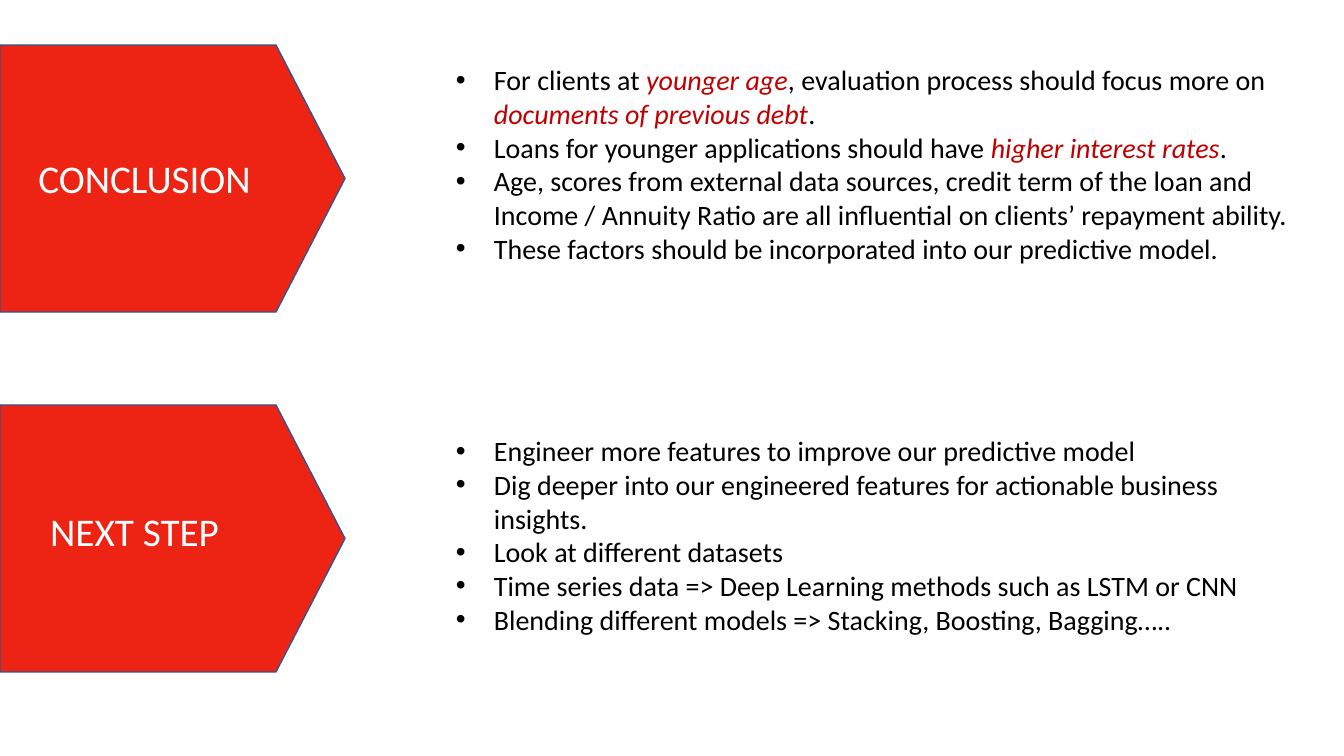
from pptx import Presentation
from pptx.dml.color import RGBColor
from pptx.enum.shapes import MSO_SHAPE
from pptx.enum.text import MSO_AUTO_SIZE, PP_ALIGN
from pptx.oxml import parse_xml
from pptx.oxml.ns import nsdecls
from pptx.util import Emu, Pt

SLIDE_WIDTH, SLIDE_HEIGHT = 1344, 756
EMU_PER_PX = 914400 / 100.8
BULLET_INDENT = 38
ARROW_WIDTH, SECTION_HEIGHT = 345, 267
BULLETS_LEFT = 446
LABEL_WIDTH, LABEL_HEIGHT = 251, 57

RED, NAVY, WHITE, BLACK, DARK_RED = "ED2313", "325491", "FFFFFF", "000000", "C00000"

SECTIONS = [
    {
        "top": 45,
        "label": "CONCLUSION",
        "label_offset": (19, 104),
        "bullets_offset": 13,
        "bullets_size": (865, 248),
        "bullets": [
            ["For clients at ", "younger age", ", evaluation process should focus more on ",
             "documents of previous debt", "."],
            ["Loans for younger applications should have ", "higher interest rates", "."],
            ["Age, scores from external data sources, credit term of the loan and "
             "Income / Annuity Ratio are all influential on clients’ repayment ability."],
            ["These factors should be incorporated into our predictive model."],
        ],
    },
    {
        "top": 405,
        "label": "NEXT STEP",
        "label_offset": (9, 97),
        "bullets_offset": 24,
        "bullets_size": (853, 214),
        "bullets": [
            ["Engineer more features to improve our predictive model"],
            ["Dig deeper into our engineered features for actionable business insights."],
            ["Look at different datasets"],
            ["Time series data => Deep Learning methods such as LSTM or CNN"],
            ["Blending different models => Stacking, Boosting, Bagging….."],
        ],
    },
]


def px(length):
    return Emu(round(length * EMU_PER_PX))


def color(value):
    return RGBColor.from_string(value)


def add_text(paragraph, text, size=20, fill=BLACK, italic=False):
    run = paragraph.add_run()
    run.text = text
    run.font.name = "Calibri"
    run.font.size = Pt(size)
    run.font.italic = italic
    run.font.color.rgb = color(fill)


def add_text_frame(slide, left, top, width, height):
    shape = slide.shapes.add_textbox(px(left), px(top), px(width), px(height))
    text_frame = shape.text_frame
    text_frame.word_wrap = True
    text_frame.auto_size = MSO_AUTO_SIZE.SHAPE_TO_FIT_TEXT
    return text_frame


def set_bullet(paragraph):
    properties = paragraph._p.get_or_add_pPr()
    properties.set("marL", str(px(BULLET_INDENT)))
    properties.set("indent", str(-px(BULLET_INDENT)))
    properties.append(parse_xml(f'<a:buFont {nsdecls("a")} typeface="Arial"/>'))
    properties.append(parse_xml(f'<a:buChar {nsdecls("a")} char="•"/>'))


def add_arrow(slide, left, top, width, height):
    shift = (width - height) / 2
    shape = slide.shapes.add_shape(
        MSO_SHAPE.FLOWCHART_OFFPAGE_CONNECTOR,
        px(left + shift), px(top - shift), px(height), px(width))
    shape.rotation = 270
    shape.shadow.inherit = False
    shape.fill.solid()
    shape.fill.fore_color.rgb = color(RED)
    shape.line.color.rgb = color(NAVY)
    shape.line.width = Pt(1)


def add_label(slide, left, top, text):
    paragraph = add_text_frame(slide, left, top, LABEL_WIDTH, LABEL_HEIGHT).paragraphs[0]
    paragraph.alignment = PP_ALIGN.CENTER
    add_text(paragraph, text, size=28, fill=WHITE)


def add_bullets(slide, left, top, width, height, bullets):
    text_frame = add_text_frame(slide, left, top, width, height)
    for index, parts in enumerate(bullets):
        paragraph = text_frame.add_paragraph() if index else text_frame.paragraphs[0]
        set_bullet(paragraph)
        for position, part in enumerate(parts):
            emphasized = position % 2 == 1
            add_text(paragraph, part, fill=DARK_RED if emphasized else BLACK, italic=emphasized)


def add_section(slide, left, top, section):
    add_arrow(slide, left, top, ARROW_WIDTH, SECTION_HEIGHT)
    label_left, label_top = section["label_offset"]
    add_label(slide, left + label_left, top + label_top, section["label"])
    add_bullets(slide, left + BULLETS_LEFT, top + section["bullets_offset"],
                *section["bullets_size"], section["bullets"])


def main():
    presentation = Presentation()
    presentation.slide_width = px(SLIDE_WIDTH)
    presentation.slide_height = px(SLIDE_HEIGHT)
    slide = presentation.slides.add_slide(presentation.slide_layouts[6])
    for section in SECTIONS:
        add_section(slide, 0, section["top"], section)
    presentation.save("out.pptx")


if __name__ == "__main__":
    main()
